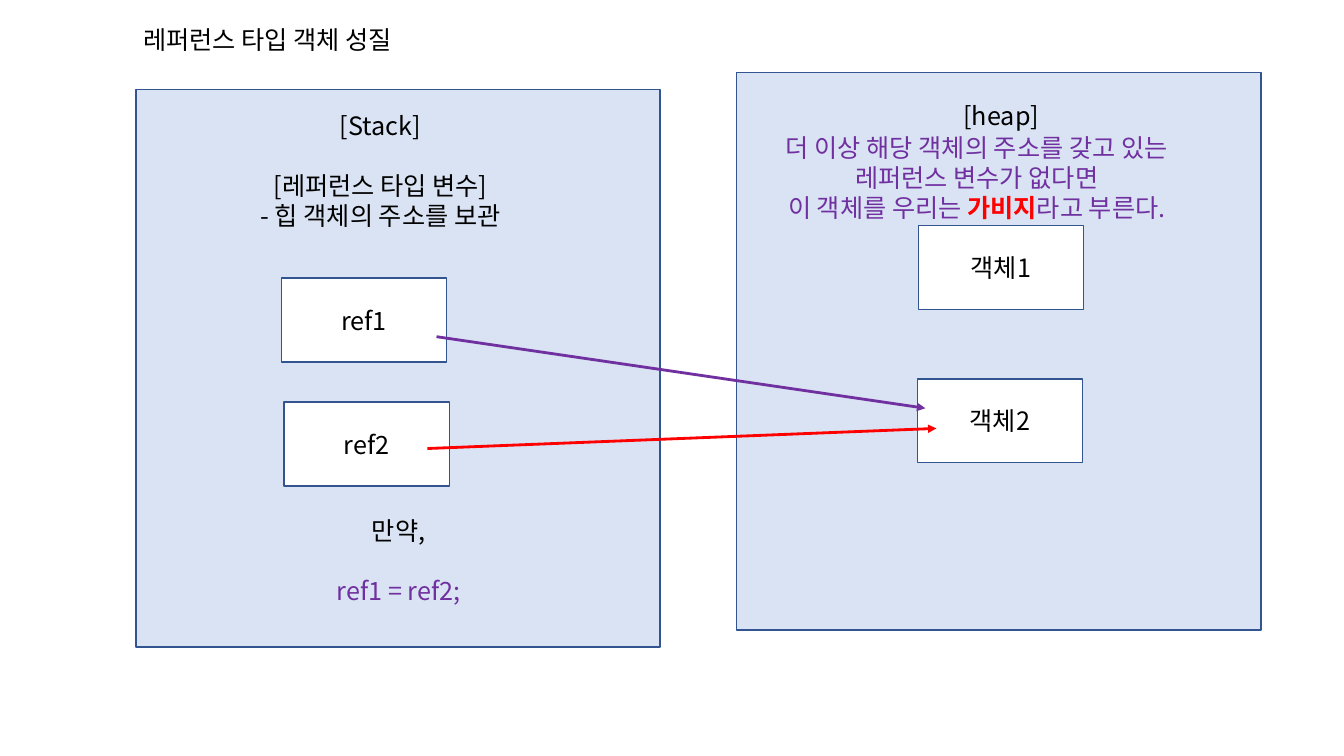
"""Builds a slide on how reference variables on the stack point to heap objects."""
import pptx
import pptx.util
import pptx.dml.color
import pptx.enum.shapes
import pptx.enum.text
import pptx.oxml.ns
from lxml import etree

THEME = {
    "font": "Noto Sans CJK KR", "size": 18, "line_height": 21.7,
    "text": "000000", "accent": "7030A0", "alert": "FF0000",
    "panel": "DAE3F3", "box": "FFFFFF", "outline": "325491",
}
PANEL_SIZE = (374.4, 398.2)
BOX_SIZE = (118.1, 59.8)
LABEL_WIDTH = 280

PANELS = {"heap": (526.3, 51.8), "stack": (97.2, 64.1)}
BOXES = [
    ("객체1", 655.9, 161.3), ("객체2", 655.2, 270.7),
    ("ref1", 200.9, 198.7), ("ref2", 203, 287.3),
]
ARROWS = [
    ("alert", (305.3, 320.4), (668.9, 306)),
    ("accent", (311.8, 240.5), (661, 291.6)),
]
LABELS = [
    ((51.1, 13.7, LABEL_WIDTH, 28.8), [{"text": "레퍼런스 타입 객체 성질"}]),
    ((575.3, 68.4, LABEL_WIDTH, 28.8), [{"text": "[heap]"}]),
    ((131.8, 74.9, LABEL_WIDTH, 94.3), [
        {"text": "[Stack]"},
        {"text": "[레퍼런스 타입 변수]", "gap": 1},
        {"text": "- 힙 객체의 주소를 보관"},
    ]),
    ((144.7, 364.3, LABEL_WIDTH, 72.7), [
        {"text": "만약,"},
        {"text": "ref1 = ref2;", "gap": 1, "color": "accent"},
    ]),
    ((528.5, 90.7, 338.4, 72.7), [
        {"text": "더 이상 해당 객체의 주소를 갖고 있는", "color": "accent"},
        {"text": "레퍼런스 변수가 없다면", "color": "accent"},
        {"text": "이 객체를 우리는 ", "color": "accent"},
        {"text": "가비지", "color": "alert", "bold": True, "joined": True},
        {"text": "라고 부른다.", "color": "accent", "joined": True},
    ]),
]


def points(*values):
    return [pptx.util.Pt(value) for value in values]


def rgb(name):
    return pptx.dml.color.RGBColor.from_string(THEME[name])


def write(frame, text, color="text", bold=False, gap=0, joined=False):
    para = frame.paragraphs[-1]
    if para.runs and not joined:
        para = frame.add_paragraph()
    para.alignment = pptx.enum.text.PP_ALIGN.CENTER
    if gap:
        para.space_before = pptx.util.Pt(gap * THEME["line_height"])
    span = para.add_run()
    span.text = text
    span.font.name = THEME["font"]
    span.font.size = pptx.util.Pt(THEME["size"])
    span.font.bold = bold
    span.font.color.rgb = rgb(color)
    east_asian = etree.SubElement(span.font._element, pptx.oxml.ns.qn("a:ea"))
    east_asian.set("typeface", THEME["font"])


def add_box(page, position, size, fill):
    box = page.shapes.add_shape(
        pptx.enum.shapes.MSO_SHAPE.RECTANGLE, *points(*position, *size))
    box.shadow.inherit = False
    box.fill.solid()
    box.fill.fore_color.rgb = rgb(fill)
    box.line.color.rgb = rgb("outline")
    box.line.width = pptx.util.Pt(1)
    box.text_frame.vertical_anchor = pptx.enum.text.MSO_ANCHOR.MIDDLE
    return box


def add_arrow(page, color, start, end):
    arrow = page.shapes.add_connector(
        pptx.enum.shapes.MSO_CONNECTOR.STRAIGHT, *points(*start, *end))
    arrow.line.color.rgb = rgb(color)
    arrow.line.width = pptx.util.Pt(2)
    tip = etree.SubElement(arrow.line._get_or_add_ln(), pptx.oxml.ns.qn("a:tailEnd"))
    tip.set("type", "triangle")
    etree.SubElement(arrow._element.spPr, pptx.oxml.ns.qn("a:effectLst"))


deck = pptx.Presentation()
deck.slide_width, deck.slide_height = points(960, 540)
page = deck.slides.add_slide(deck.slide_layouts[6])

for position in PANELS.values():
    add_box(page, position, PANEL_SIZE, "panel")
for name, left, top in BOXES:
    write(add_box(page, (left, top), BOX_SIZE, "box").text_frame, name)
for color, start, end in ARROWS:
    add_arrow(page, color, start, end)
for area, spans in LABELS:
    frame = page.shapes.add_textbox(*points(*area)).text_frame
    frame.word_wrap = True
    for span in spans:
        write(frame, **span)

deck.save("out.pptx")
